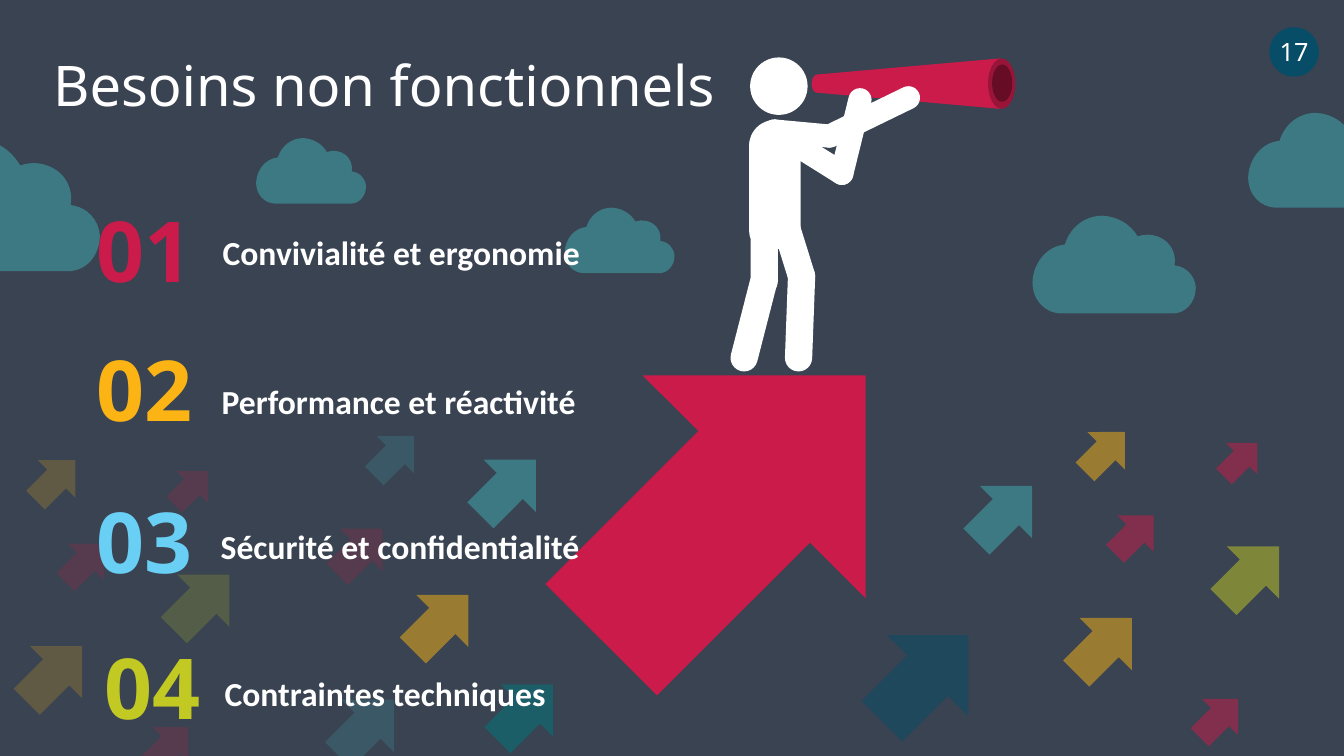
import math

import lxml.etree
import pptx
import pptx.dml.color
import pptx.enum.shapes
import pptx.enum.text
import pptx.oxml.ns
import pptx.util

Inches = pptx.util.Inches
RGBColor = pptx.dml.color.RGBColor
Shape = pptx.enum.shapes.MSO_SHAPE
Align = pptx.enum.text.PP_ALIGN
qn = pptx.oxml.ns.qn

SLATE = RGBColor(0x39, 0x43, 0x51)
WHITE = RGBColor(0xFF, 0xFF, 0xFF)
RED = RGBColor(0xCB, 0x1B, 0x4A)
DARK_RED = RGBColor(0x98, 0x14, 0x38)
DEEP_RED = RGBColor(0x66, 0x0D, 0x25)
AMBER = RGBColor(0xFC, 0xB4, 0x14)
LIME = RGBColor(0xC2, 0xC9, 0x23)
SKY = RGBColor(0x69, 0xCF, 0xF5)
AQUA = RGBColor(0x42, 0xAF, 0xB6)
TEAL = RGBColor(0x00, 0x7A, 0x7D)
NAVY = RGBColor(0x07, 0x4D, 0x67)

# Left, top, width, colour and opacity of each small arrow
ARROW_RATIO = 0.94
ARROWS = [
    (1.61, 5.61, 0.78, LIME, 20), (0.15, 6.32, 0.78, AMBER, 20),
    (0.57, 5.33, 0.54, RED, 20), (1.41, 7.15, 0.54, RED, 20),
    (0.27, 4.5, 0.56, AMBER, 20), (1.66, 4.62, 0.47, RED, 20),
    (3.24, 6.85, 0.78, AQUA, 20), (3.25, 5.17, 0.64, RED, 20),
    (3.63, 4.26, 0.56, AQUA, 20), (12.02, 5.33, 0.78, LIME, 50),
    (8.57, 6.16, 1.21, NAVY, 50), (4.82, 6.7, 0.78, TEAL, 50),
    (10.56, 6.04, 0.78, AMBER, 50), (9.57, 4.73, 0.78, AQUA, 50),
    (10.98, 5.05, 0.54, RED, 50), (11.82, 6.87, 0.54, RED, 50),
    (4.65, 4.47, 0.78, AQUA, 50), (3.98, 5.81, 0.78, AMBER, 50),
    (10.68, 4.22, 0.56, AMBER, 50), (12.07, 4.34, 0.47, RED, 50),
]

# Cloud outline: a start, then two handles and an end point for each curve
CLOUD_GRID = (222, 132)
CLOUD_POINTS = [
    (193, 67),
    (210, 69), (221, 82), (222, 97),
    (222, 117), (208, 132), (191, 132),
    (140, 132), (90, 132), (40, 132),
    (17, 132), (0, 114), (0, 90),
    (1, 63), (20, 41), (44, 39),
    (51, 16), (71, 0), (95, 0),
    (115, 1), (133, 11), (143, 28),
    (168, 19), (198, 37), (193, 67),
]
CLOUDS = [(5.6, 2.06, 1.09, 0.65), (10.24, 2.14, 1.62, 0.97), (12.38, 1.12, 1.57, 0.94),
          (2.54, 1.37, 1.09, 0.65), (-1.23, 1.36, 2.22, 1.33)]

# Limbs of the watcher: joint to joint and thickness, from the figure's corner
LIMBS = [
    (0.45, 0.73, 1.12, 1.15, 0.23), (1.12, 1.15, 1.3, 0.42, 0.23),
    (0.45, 0.73, 0.99, 0.78, 0.23), (1.0, 0.78, 1.78, 0.4, 0.23),
    (0.58, 1.72, 0.72, 2.17, 0.27), (0.72, 2.17, 0.69, 2.98, 0.27),
    (0.35, 1.71, 0.35, 2.22, 0.27), (0.34, 2.24, 0.15, 2.98, 0.27),
]

# Number position, label position and width, number, colour, label
NEEDS = [
    (0.86, 1.92, 2.11, 2.25, 4.55, "01", RED, "Convivialité et ergonomie"),
    (0.86, 3.3, 2.1, 3.73, 4.59, "02", AMBER, "Performance et réactivité"),
    (0.86, 4.81, 2.09, 5.17, 4.29, "03", SKY, "Sécurité et confidentialité"),
    (0.94, 6.26, 2.13, 6.63, 4.1, "04", LIME, "Contraintes techniques"),
]


def paint(shape, color, opacity=100):
    shape.shadow.inherit = False
    shape.fill.solid()
    shape.fill.fore_color.rgb = color
    shape.line.fill.background()
    if opacity < 100:
        tint = shape._element.spPr.find(qn("a:solidFill")).find(qn("a:srgbClr"))
        lxml.etree.SubElement(tint, qn("a:alpha"), val=str(opacity * 1000))


def add_preset(page, kind, box, color, opacity=100, rotation=0):
    shape = page.shapes.add_shape(kind, *map(Inches, box))
    shape.rotation = rotation
    paint(shape, color, opacity)
    return shape


def add_outline(page, points, color, opacity=100):
    corners = [(Inches(x), Inches(y)) for x, y in points]
    builder = page.shapes.build_freeform(*corners[0])
    builder.add_line_segments(corners[1:], close=True)
    shape = builder.convert_to_shape()
    paint(shape, color, opacity)
    return shape


def write_text(frame, text, size, font, color=WHITE, bold=False, align=None):
    para = frame.paragraphs[0]
    para.alignment = align
    span = para.add_run()
    span.text = text
    span.font.size = pptx.util.Pt(size)
    span.font.name = font
    span.font.bold = bold
    span.font.color.rgb = color


def add_text(page, box, text, **style):
    frame = page.shapes.add_textbox(*map(Inches, box)).text_frame
    frame.word_wrap = True
    frame.auto_size = pptx.enum.text.MSO_AUTO_SIZE.SHAPE_TO_FIT_TEXT
    write_text(frame, text, **style)


def add_arrow(page, box, color, opacity=100):
    add_preset(page, Shape.RIGHT_ARROW, box, color, opacity, rotation=315)


def add_cloud(page, box):
    left, top, width, height = box
    points = [(left + x * width / CLOUD_GRID[0], top + y * height / CLOUD_GRID[1])
              for x, y in CLOUD_POINTS]
    cloud = add_outline(page, points, AQUA, 50)
    # Join every three straight segments into one Bezier curve
    outline = next(cloud._element.iter(qn("a:path")))
    segments = outline.findall(qn("a:lnTo"))
    for first in range(0, len(segments), 3):
        curve = lxml.etree.SubElement(outline, qn("a:cubicBezTo"))
        segments[first].addprevious(curve)
        for segment in segments[first:first + 3]:
            curve.append(segment[0])
            outline.remove(segment)


def add_limb(page, x1, y1, x2, y2, thickness):
    length = math.dist((x1, y1), (x2, y2)) + thickness
    box = ((x1 + x2 - length) / 2, (y1 + y2 - thickness) / 2, length, thickness)
    angle = math.degrees(math.atan2(y2 - y1, x2 - x1))
    limb = add_preset(page, Shape.ROUNDED_RECTANGLE, box, WHITE, rotation=angle)
    limb.adjustments[0] = 0.5


def add_spyglass(page, left, top):
    tube = [(1.82, 0.5), (0, 0.34), (0, 0.16), (1.82, 0)]
    add_outline(page, [(left + x, top + y) for x, y in tube], RED)
    for x, y, width, height, color in [(1.7, 0, 0.27, 0.5, DARK_RED),
                                       (1.74, 0.06, 0.2, 0.37, DEEP_RED),
                                       (-0.05, 0.16, 0.1, 0.18, RED)]:
        add_preset(page, Shape.OVAL, (left + x, top + y, width, height), color)


def add_watcher(page, left, top):
    add_spyglass(page, left + 0.87, top + 0.01)
    add_preset(page, Shape.OVAL, (left + 0.21, top, 0.57, 0.57), WHITE)
    add_preset(page, Shape.OVAL, (left + 0.2, top + 0.62, 0.51, 0.51), WHITE)
    torso = add_preset(page, Shape.ROUNDED_RECTANGLE, (left + 0.2, top + 0.7, 0.51, 1.2), WHITE)
    torso.adjustments[0] = 0.34
    for x1, y1, x2, y2, thickness in LIMBS:
        add_limb(page, left + x1, top + y1, left + x2, top + y2, thickness)


def add_page_number(page, box, number):
    badge = add_preset(page, Shape.OVAL, box, NAVY)
    frame = badge.text_frame
    frame.word_wrap = False
    frame.vertical_anchor = pptx.enum.text.MSO_ANCHOR.MIDDLE
    write_text(frame, number, size=18, font="Noto Sans", align=Align.CENTER)


def build_needs_slide(deck):
    page = deck.slides.add_slide(deck.slide_layouts[6])
    page.background.fill.solid()
    page.background.fill.fore_color.rgb = SLATE

    # Scenery
    add_arrow(page, (5.42, 3.47, 3.71, 3.13), RED)
    for left, top, width, color, opacity in ARROWS:
        add_arrow(page, (left, top, width, width * ARROW_RATIO), color, opacity)
    for box in CLOUDS:
        add_cloud(page, box)
    add_watcher(page, 7.23, 0.57)

    # Heading and page number
    add_text(page, (0.43, 0.45, 7.9, 0.77), "Besoins non fonctionnels", size=40, font="Noto Sans")
    add_page_number(page, (12.59, 0.27, 0.49, 0.49), "17")

    # Numbered needs
    for x, y, label_x, label_y, width, number, color, label in NEEDS:
        add_text(page, (x, y, 1.57, 1.11), number, size=60, font="Open Sans",
                 color=color, bold=True, align=Align.JUSTIFY)
        add_text(page, (label_x, label_y, width, 0.5), label, size=24, font="Calibri", bold=True)


def main():
    deck = pptx.Presentation()
    deck.slide_width, deck.slide_height = Inches(13.33), Inches(7.5)
    build_needs_slide(deck)
    deck.save("out.pptx")


if __name__ == "__main__":
    main()
